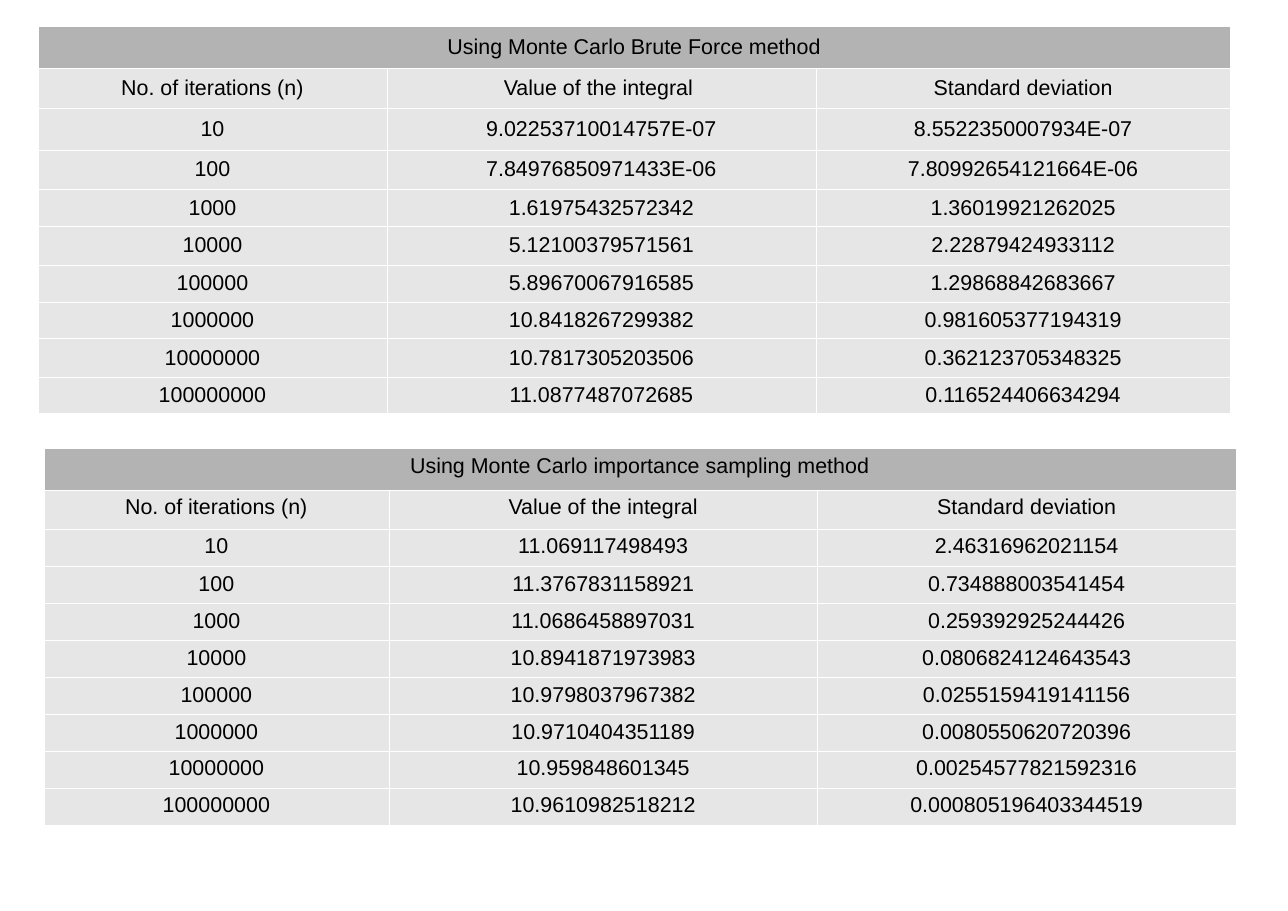
from dataclasses import dataclass

from lxml import etree
from pptx import Presentation
from pptx import util as u
from pptx.dml import color
from pptx.enum import text
from pptx.oxml import ns


@dataclass(frozen=True)
class Theme:
    font: str = "Arial"
    size: float = 14
    ink: str = "000000"
    title_fill: str = "B3B3B3"
    body_fill: str = "E6E6E6"
    border: str = "FFFFFF"
    border_width: float = 0.06


class SlideBuilder:
    def __init__(self, slide, theme):
        self.slide = slide
        self.theme = theme

    def add_borders(self, cell):
        properties = cell._tc.get_or_add_tcPr()
        for index, side in enumerate(("lnL", "lnR", "lnT", "lnB")):
            line = etree.Element(ns.qn(f"a:{side}"), w=str(u.Pt(self.theme.border_width)))
            fill = etree.SubElement(line, ns.qn("a:solidFill"))
            etree.SubElement(fill, ns.qn("a:srgbClr"), val=self.theme.border)
            properties.insert(index, line)

    def fill_cell(self, cell, content, fill, anchor):
        cell.fill.solid()
        cell.fill.fore_color.rgb = color.RGBColor.from_string(fill)
        cell.vertical_anchor = anchor
        self.add_borders(cell)
        paragraph = cell.text_frame.paragraphs[0]
        paragraph.alignment = text.PP_ALIGN.CENTER
        run = paragraph.add_run()
        run.text = content
        run.font.name = self.theme.font
        run.font.size = u.Pt(self.theme.size)
        run.font.bold = False
        run.font.color.rgb = color.RGBColor.from_string(self.theme.ink)

    def add_results(self, title, headings, results, left, top, widths, heights, anchor):
        rows = [headings] + [
            (str(10 ** power), *values) for power, values in enumerate(results, start=1)
        ]
        table = self.slide.shapes.add_table(
            len(heights), len(widths), u.Cm(left), u.Cm(top),
            u.Cm(sum(widths)), u.Cm(sum(heights)),
        ).table
        table.horz_banding = False
        for column, width in zip(table.columns, widths):
            column.width = u.Cm(width)
        for row, height in zip(table.rows, heights):
            row.height = u.Cm(height)

        title_cell = table.cell(0, 0)
        title_cell.merge(table.cell(0, len(widths) - 1))
        self.fill_cell(title_cell, title, self.theme.title_fill, anchor)

        for row_index, row in enumerate(rows, start=1):
            for column_index, content in enumerate(row):
                cell = table.cell(row_index, column_index)
                self.fill_cell(cell, content, self.theme.body_fill, anchor)


BRUTE_FORCE = [
    ("9.02253710014757E-07", "8.5522350007934E-07"),
    ("7.84976850971433E-06", "7.80992654121664E-06"),
    ("1.61975432572342", "1.36019921262025"),
    ("5.12100379571561", "2.22879424933112"),
    ("5.89670067916585", "1.29868842683667"),
    ("10.8418267299382", "0.981605377194319"),
    ("10.7817305203506", "0.362123705348325"),
    ("11.0877487072685", "0.116524406634294"),
]
IMPORTANCE_SAMPLING = [
    ("11.069117498493", "2.46316962021154"),
    ("11.3767831158921", "0.734888003541454"),
    ("11.0686458897031", "0.259392925244426"),
    ("10.8941871973983", "0.0806824124643543"),
    ("10.9798037967382", "0.0255159419141156"),
    ("10.9710404351189", "0.0080550620720396"),
    ("10.959848601345", "0.00254577821592316"),
    ("10.9610982518212", "0.000805196403344519"),
]


def main():
    presentation = Presentation()
    presentation.slide_width = u.Cm(29.7)
    presentation.slide_height = u.Cm(21)
    slide = presentation.slides.add_slide(presentation.slide_layouts[6])
    builder = SlideBuilder(slide, Theme())
    builder.add_results(
        "Using Monte Carlo Brute Force method",
        ("No. of iterations (n)", "Value of the integral ", "Standard deviation"),
        BRUTE_FORCE,
        left=0.88, top=0.6, widths=(8.04, 9.9, 9.55),
        heights=(0.97, 0.91, 0.97, 0.91, 0.86, 0.88, 0.86, 0.84, 0.89, 0.84),
        anchor=text.MSO_ANCHOR.MIDDLE,
    )
    builder.add_results(
        "Using Monte Carlo importance sampling method",
        ("No. of iterations (n)", "Value of the integral", "Standard deviation"),
        IMPORTANCE_SAMPLING,
        left=1.01, top=10.34, widths=(7.96, 9.88, 9.65),
        heights=(0.95, 0.9, 0.86, 0.86) + (0.85,) * 6,
        anchor=text.MSO_ANCHOR.TOP,
    )
    presentation.save("out.pptx")


if __name__ == "__main__":
    main()
